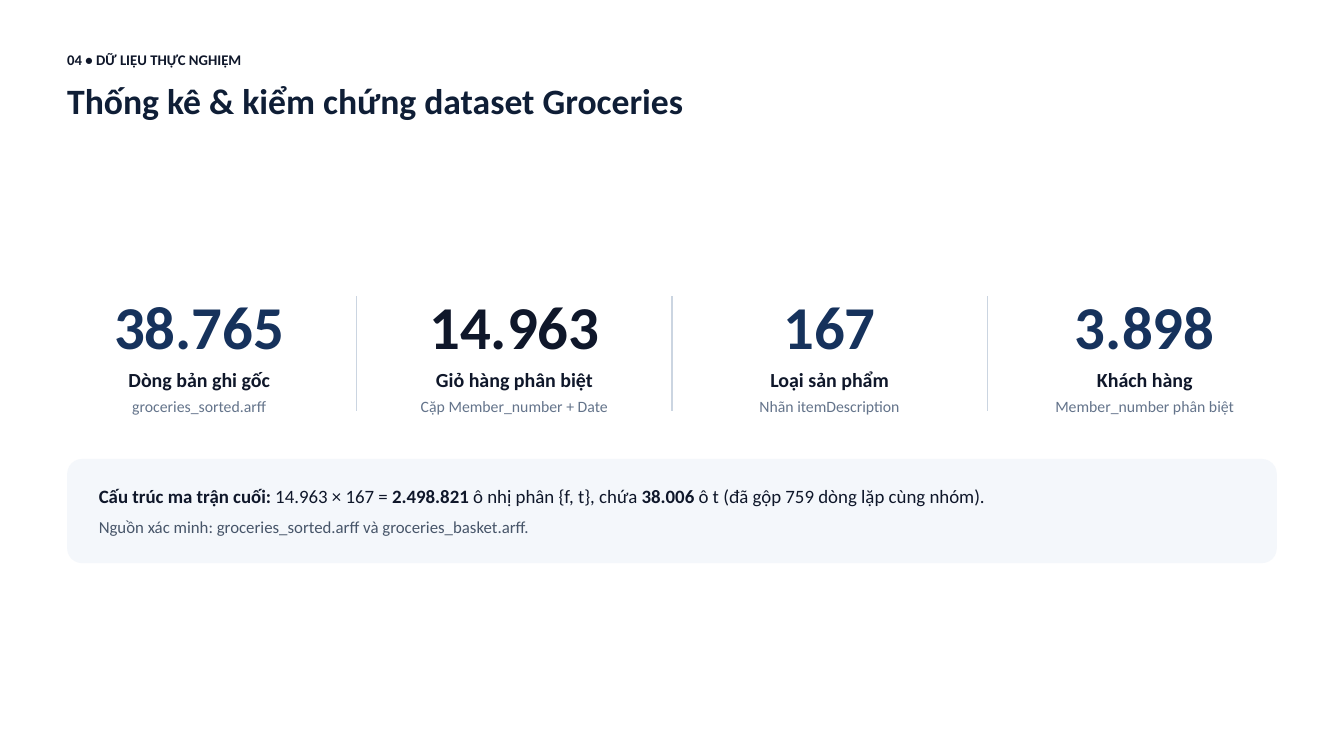
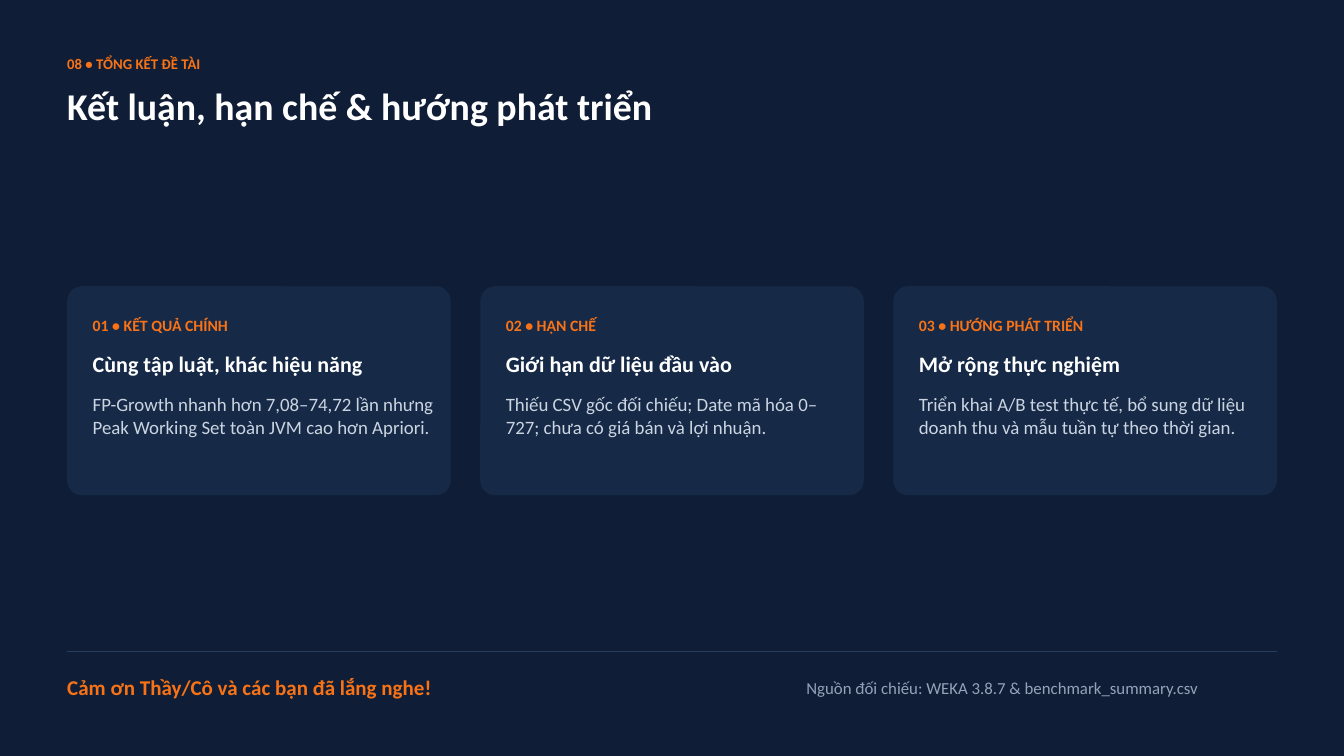
from dataclasses import dataclass

from lxml.etree import SubElement
from pptx import Presentation
from pptx.dml.color import RGBColor as Color
from pptx.enum.shapes import MSO_CONNECTOR as Connector, MSO_SHAPE as Shape
from pptx.enum.text import MSO_ANCHOR as Anchor, MSO_AUTO_SIZE as AutoSize, PP_ALIGN as Align
from pptx.oxml.ns import qn
from pptx.util import Inches, Pt


@dataclass(frozen=True)
class Style:
    size: float
    color: str
    bold: bool = False
    leading: float = 1.2


class Theme:
    font = "Calibri"
    white, night, ink, navy = "FFFFFF", "0F1E36", "0F172A", "16325C"
    orange, panel, card = "F97316", "F4F7FB", "162947"
    divider, rule = "CBD5E1", "263B5E"

    eyebrow_light = Style(15.8, ink, True)
    eyebrow_dark = Style(15.8, orange, True)
    title_light = Style(38.2, night, True)
    title_dark = Style(40.5, white, True)
    figure = Style(65.2, navy, True, 1.1)
    figure_strong = Style(65.2, ink, True, 1.1)
    stat_label = Style(21.4, ink, True)
    stat_note = Style(16.9, "64748B")
    summary = Style(20.2, ink)
    summary_bold = Style(20.2, ink, True)
    source = Style(18, "475569")
    card_tag = Style(16.9, orange, True)
    card_title = Style(23.6, white, True)
    card_body = Style(20.2, divider)
    thanks = Style(22.5, orange, True)
    reference = Style(18, "94A3B8")


# Content
DATA_HEAD = ("04 • DỮ LIỆU THỰC NGHIỆM", "Thống kê & kiểm chứng dataset Groceries")
STATS = [
    ("38.765", "Dòng bản ghi gốc", "groceries_sorted.arff", Theme.figure),
    ("14.963", "Giỏ hàng phân biệt", "Cặp Member_number + Date", Theme.figure_strong),
    ("167", "Loại sản phẩm", "Nhãn itemDescription", Theme.figure),
    ("3.898", "Khách hàng", "Member_number phân biệt", Theme.figure),
]
SUMMARY = [
    ("Cấu trúc ma trận cuối:", Theme.summary_bold),
    (" 14.963 × 167 = ", Theme.summary),
    ("2.498.821", Theme.summary_bold),
    (" ô nhị phân {f, t}, chứa ", Theme.summary),
    ("38.006", Theme.summary_bold),
    (" ô t (đã gộp 759 dòng lặp cùng nhóm).", Theme.summary),
]
DATA_SOURCE = "Nguồn xác minh: groceries_sorted.arff và groceries_basket.arff."

CLOSING_HEAD = ("08 • TỔNG KẾT ĐỀ TÀI", "Kết luận, hạn chế & hướng phát triển")
CARDS = [
    ("01 • KẾT QUẢ CHÍNH", "Cùng tập luật, khác hiệu năng",
     "FP-Growth nhanh hơn 7,08–74,72 lần nhưng Peak Working Set toàn JVM cao hơn Apriori."),
    ("02 • HẠN CHẾ", "Giới hạn dữ liệu đầu vào",
     "Thiếu CSV gốc đối chiếu; Date mã hóa 0–727; chưa có giá bán và lợi nhuận."),
    ("03 • HƯỚNG PHÁT TRIỂN", "Mở rộng thực nghiệm",
     "Triển khai A/B test thực tế, bổ sung dữ liệu doanh thu và mẫu tuần tự theo thời gian."),
]
THANKS = "Cảm ơn Thầy/Cô và các bạn đã lắng nghe!"
REFERENCE = "Nguồn đối chiếu: WEKA 3.8.7 & benchmark_summary.csv"

# Grid, in inches
WIDTH, HEIGHT, MARGIN = 20, 11.25, 1
CONTENT = WIDTH - 2 * MARGIN
RADIUS = 0.22
STAT_PITCH, STAT_WIDTH = 4.69, 4.91
CARD_GAP, CARD_PAD = 0.44, 0.38
CARD_WIDTH = (CONTENT - CARD_GAP * (len(CARDS) - 1)) / len(CARDS)


def place(box, left, top, width, height):
    box.left, box.top, box.width, box.height = map(Inches, (left, top, width, height))


def write(box, runs, align=Align.LEFT):
    """Fill a box with one paragraph made of (text, style) runs."""
    frame = box.text_frame
    frame.word_wrap, frame.auto_size = True, AutoSize.NONE
    frame.vertical_anchor = Anchor.TOP
    frame.margin_left = frame.margin_top = frame.margin_right = frame.margin_bottom = 0
    para = frame.paragraphs[0]
    para.alignment = align
    para.line_spacing = Pt(round(runs[0][1].size * runs[0][1].leading, 1))
    for text, style in runs:
        span = para.add_run()
        span.text = text
        span.font.name, span.font.size = Theme.font, Pt(style.size)
        span.font.bold = style.bold
        span.font.color.rgb = Color.from_string(style.color)


def add_text(page, area, runs, align=Align.LEFT):
    write(page.shapes.add_textbox(*map(Inches, area)), runs, align)


def add_panel(page, area, color):
    panel = page.shapes.add_shape(Shape.ROUNDED_RECTANGLE, *map(Inches, area))
    panel.adjustments[0] = RADIUS / min(area[2:])
    panel.shadow.inherit = False
    panel.fill.solid()
    panel.fill.fore_color.rgb = Color.from_string(color)
    panel.line.fill.background()


def add_line(page, start, end, color):
    line = page.shapes.add_connector(Connector.STRAIGHT, *map(Inches, start + end))
    line.line.width = Pt(1.1)
    line.line.color.rgb = Color.from_string(color)
    SubElement(line._element.spPr, qn("a:effectLst"))


def add_page(deck, head, background, styles, top):
    """Add a page with its background, small heading and title."""
    page = deck.slides.add_slide(deck.slide_layouts.get_by_name("Title Only"))
    page.background.fill.solid()
    page.background.fill.fore_color.rgb = Color.from_string(background)
    for spare in list(page.placeholders):
        if spare != page.shapes.title:
            spare._element.getparent().remove(spare._element)
    (eyebrow, title), (eyebrow_style, title_style) = head, styles
    add_text(page, (MARGIN, top, WIDTH - MARGIN, 0.28), [(eyebrow, eyebrow_style)])
    place(page.shapes.title, MARGIN, top + 0.42, WIDTH - MARGIN, 0.7)
    write(page.shapes.title, [(title, title_style)])
    return page


def build_data_page(deck):
    page = add_page(deck, DATA_HEAD, Theme.white,
                    (Theme.eyebrow_light, Theme.title_light), 0.75)

    # Four figures, parted by dividers
    for index, (figure, label, note, figure_style) in enumerate(STATS):
        center = WIDTH / 2 + (index - (len(STATS) - 1) / 2) * STAT_PITCH
        rows = [(4.39, 0.92, figure, figure_style),
                (5.47, 0.38, label, Theme.stat_label),
                (5.91, 0.3, note, Theme.stat_note)]
        for top, height, text, style in rows:
            area = (center - STAT_WIDTH / 2, top, STAT_WIDTH, height)
            add_text(page, area, [(text, style)], Align.CENTER)
        if index:
            edge = center - STAT_PITCH / 2
            add_line(page, (edge, 4.41), (edge, 6.12), Theme.divider)

    # Summary panel
    add_panel(page, (MARGIN, 6.83, CONTENT, 1.55), Theme.panel)
    inner = MARGIN + 0.47
    add_text(page, (inner, 7.21, WIDTH - inner, 0.36), SUMMARY)
    add_text(page, (inner, 7.69, 7.67, 0.29), [(DATA_SOURCE, Theme.source)])


def build_closing_page(deck):
    page = add_page(deck, CLOSING_HEAD, Theme.night,
                    (Theme.eyebrow_dark, Theme.title_dark), 0.81)

    # Three cards
    for index, (tag, title, body) in enumerate(CARDS):
        left = MARGIN + index * (CARD_WIDTH + CARD_GAP)
        add_panel(page, (left, 4.26, CARD_WIDTH, 3.11), Theme.card)
        rows = [(4.7, 6.2, 0.3, tag, Theme.card_tag),
                (5.21, 6.2, 0.42, title, Theme.card_title),
                (5.85, 5.11, 1.08, body, Theme.card_body)]
        for top, width, height, text, style in rows:
            add_text(page, (left + CARD_PAD, top, width, height), [(text, style)])

    # Closing band
    add_line(page, (MARGIN, 9.69), (WIDTH - MARGIN, 9.69), Theme.rule)
    add_text(page, (MARGIN, 10.04, 8.42, 0.4), [(THANKS, Theme.thanks)])
    add_text(page, (12, 10.09, 8, 0.31), [(REFERENCE, Theme.reference)])


def main():
    deck = Presentation()
    deck.slide_width, deck.slide_height = Inches(WIDTH), Inches(HEIGHT)
    build_data_page(deck)
    build_closing_page(deck)
    deck.save("out.pptx")


if __name__ == "__main__":
    main()
